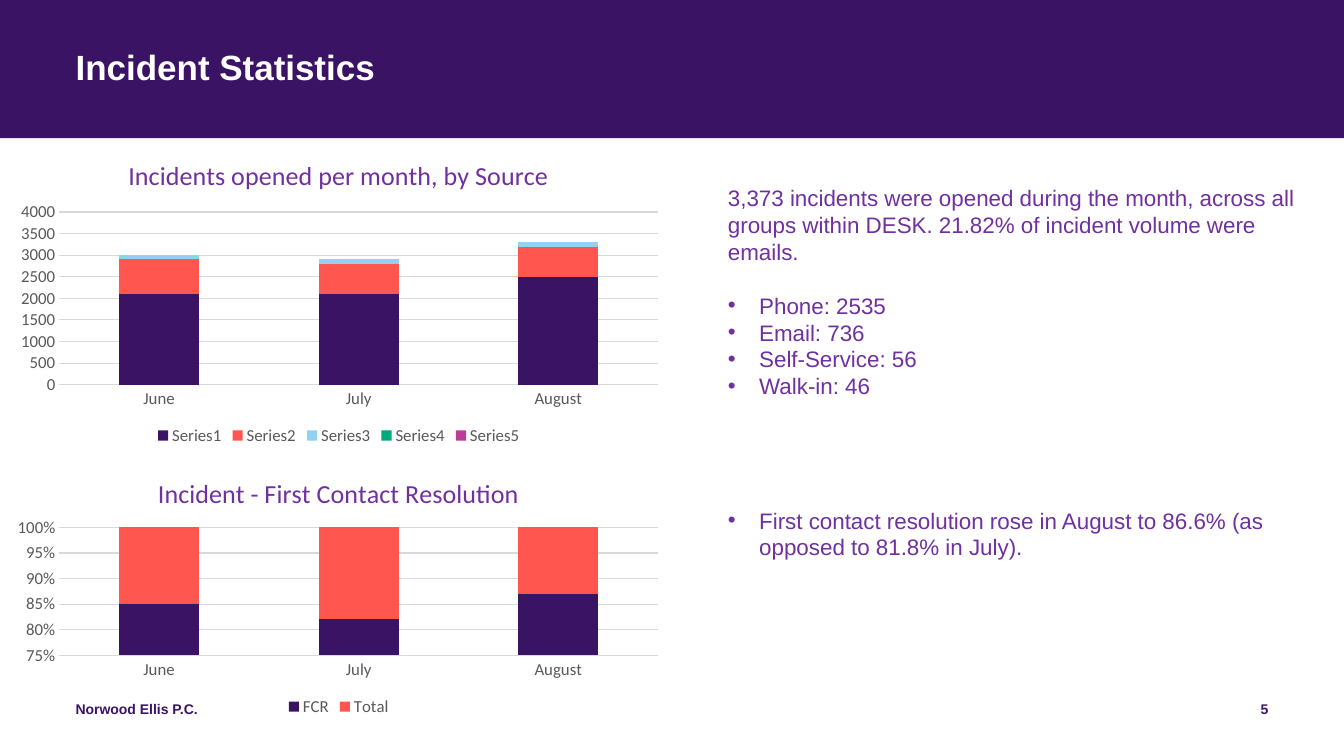
from dataclasses import dataclass

from lxml import etree
from pptx import Presentation
from pptx.chart.data import CategoryChartData
from pptx.dml.color import RGBColor
from pptx.enum import chart as ch, shapes, text
from pptx.oxml import ns
from pptx.util import Inches, Pt


@dataclass(frozen=True)
class Theme:
    deep: RGBColor = RGBColor.from_string("3B1365")
    violet: RGBColor = RGBColor.from_string("7030A0")
    white: RGBColor = RGBColor.from_string("FFFFFF")
    label: RGBColor = RGBColor.from_string("595959")
    grid: RGBColor = RGBColor.from_string("D9D9D9")
    series: tuple = ("3B1365", "FF5750", "91D2F2", "00A87E", "BC3D95")
    font: str = "Arial"
    chart_font: str = "Calibri"
    title_size: int = 25
    body_size: int = 16
    footer_size: int = 10
    chart_title_size: float = 18.6
    label_size: int = 12


THEME = Theme()
HEADLINE = "Incident Statistics"
MONTHS = ("June", "July", "August")
CHARTS = (
    {
        "title": "Incidents opened per month, by Source",
        "kind": ch.XL_CHART_TYPE.COLUMN_STACKED,
        "box": (0.06, 1.4, 6.6, 3.06),
        "plot": (0.08, 0.23, 0.9, 0.56),
        "scale": (0, 4000, 500, "0"),
        "series": {
            "Series1": (2100, 2100, 2500),
            "Series2": (800, 700, 700),
            "Series3": (100, 100, 100),
            "Series4": (0, 0, 0),
            "Series5": (0, 0, 0),
        },
    },
    {
        "title": "Incident - First Contact Resolution",
        "kind": ch.XL_CHART_TYPE.COLUMN_STACKED_100,
        "box": (0.06, 4.56, 6.6, 2.59),
        "plot": (0.08, 0.26, 0.9, 0.49),
        "scale": (0.75, 1, 0.05, "0%"),
        "series": {
            "FCR": (85, 82, 87),
            "Total": (15, 18, 13),
        },
    },
)
FINDINGS = (
    ("3,373 incidents were opened during the month, across all groups within DESK. "
     "21.82% of incident volume were emails.", False, 0),
    ("Phone: 2535", True, 19.5),
    ("Email: 736", True, 0),
    ("Self-Service: 56", True, 0),
    ("Walk-in: 46", True, 0),
    ("First contact resolution rose in August to 86.6% (as opposed to 81.8% in July).",
     True, 77),
)
FOOTERS = (
    ("Norwood Ellis P.C.", (0.75, 6.95, 4.5, 0.4), text.PP_ALIGN.LEFT),
    ("5", (9.58, 6.95, 3, 0.4), text.PP_ALIGN.RIGHT),
)


def inches(box):
    return [Inches(length) for length in box]


def place(shape, box):
    shape.left, shape.top, shape.width, shape.height = inches(box)


def style(font, size, color, bold=False, name=THEME.font):
    font.name, font.size, font.bold = name, Pt(size), bold
    font.color.rgb = color


def open_frame(shape, margins=(0, 0, 0, 0)):
    frame = shape.text_frame
    frame.word_wrap = True
    frame.auto_size = text.MSO_AUTO_SIZE.NONE
    frame.vertical_anchor = text.MSO_ANCHOR.TOP
    (frame.margin_left, frame.margin_top,
     frame.margin_right, frame.margin_bottom) = inches(margins)
    return frame


def set_bullet(paragraph, bulleted):
    properties = paragraph._p.get_or_add_pPr()
    hang = Inches(0.31) if bulleted else 0
    properties.set("marL", str(hang))
    properties.set("indent", str(-hang))
    if bulleted:
        etree.SubElement(properties, ns.qn("a:buFont")).set("typeface", THEME.font)
        etree.SubElement(properties, ns.qn("a:buChar")).set("char", "•")
    else:
        etree.SubElement(properties, ns.qn("a:buNone"))


def set_plot_area(chart, fractions):
    area = chart._chartSpace.find(".//" + ns.qn("c:plotArea"))
    for previous in area.findall(ns.qn("c:layout")):
        area.remove(previous)
    layout = etree.Element(ns.qn("c:layout"))
    manual = etree.SubElement(layout, ns.qn("c:manualLayout"))
    settings = [("layoutTarget", "inner"), ("xMode", "edge"), ("yMode", "edge")]
    for tag, value in settings + list(zip("xywh", fractions)):
        etree.SubElement(manual, ns.qn("c:" + tag)).set("val", str(value))
    area.insert(0, layout)


def style_axis(axis):
    axis.major_tick_mark = axis.minor_tick_mark = ch.XL_TICK_MARK.NONE
    style(axis.tick_labels.font, THEME.label_size, THEME.label, name=THEME.chart_font)


def add_incident_chart(slide, content):
    data = CategoryChartData()
    data.categories = MONTHS
    for name, values in content["series"].items():
        data.add_series(name, values)
    chart = slide.shapes.add_chart(content["kind"], *inches(content["box"]), data).chart
    style(chart.font, THEME.label_size, THEME.label, name=THEME.chart_font)

    chart.has_title = True
    heading = chart.chart_title.text_frame
    heading.text = content["title"]
    style(heading.paragraphs[0].runs[0].font, THEME.chart_title_size, THEME.violet,
          name=THEME.chart_font)
    chart.chart_title.include_in_layout = False

    chart.has_legend = True
    chart.legend.position = ch.XL_LEGEND_POSITION.BOTTOM
    chart.legend.include_in_layout = False
    style(chart.legend.font, THEME.label_size, THEME.label, name=THEME.chart_font)

    months, scale = chart.category_axis, chart.value_axis
    style_axis(months)
    style_axis(scale)
    scale.minimum_scale, scale.maximum_scale, scale.major_unit, pattern = content["scale"]
    scale.tick_labels.number_format = pattern
    scale.tick_labels.number_format_is_linked = False
    scale.format.line.fill.background()
    scale.has_major_gridlines = True
    for line in (months.format.line, scale.major_gridlines.format.line):
        line.color.rgb, line.width = THEME.grid, Pt(0.75)

    columns = chart.plots[0]
    columns.gap_width, columns.overlap, columns.vary_by_categories = 150, 100, False
    for series, color in zip(columns.series, THEME.series):
        series.format.fill.solid()
        series.format.fill.fore_color.rgb = RGBColor.from_string(color)
        series.invert_if_negative = False
    set_plot_area(chart, content["plot"])


def main():
    deck = Presentation()
    deck.slide_width, deck.slide_height = Inches(13.33), Inches(7.5)
    slide = deck.slides.add_slide(deck.slide_layouts[1])
    headline, findings = slide.shapes.title, slide.placeholders[1]

    band = slide.shapes.add_shape(shapes.MSO_SHAPE.RECTANGLE, *inches((0, 0, 13.33, 1.37)))
    band.shadow.inherit = False
    band.fill.solid()
    band.fill.fore_color.rgb = THEME.deep
    band.line.fill.background()
    headline._element.addprevious(band._element)

    place(headline, (0.75, 0.5, 11.83, 0.81))
    frame = open_frame(headline)
    frame.text = HEADLINE
    paragraph = frame.paragraphs[0]
    paragraph.alignment, paragraph.line_spacing = text.PP_ALIGN.LEFT, 0.9
    style(paragraph.runs[0].font, THEME.title_size, THEME.white, True)

    for content in CHARTS:
        add_incident_chart(slide, content)

    place(findings, (7.12, 1.78, 6.15, 4.95))
    frame = open_frame(findings, (0.1, 0.05, 0.1, 0.05))
    frame.text = "\n".join(finding for finding, _, _ in FINDINGS)
    for paragraph, (_, bulleted, gap) in zip(frame.paragraphs, FINDINGS):
        set_bullet(paragraph, bulleted)
        paragraph.line_spacing, paragraph.space_before = Pt(19.1), Pt(gap)
        style(paragraph.runs[0].font, THEME.body_size, THEME.violet)

    for words, box, alignment in FOOTERS:
        frame = open_frame(slide.shapes.add_textbox(*inches(box)))
        frame.text = words
        paragraph = frame.paragraphs[0]
        paragraph.alignment = alignment
        style(paragraph.runs[0].font, THEME.footer_size, THEME.deep, True)

    deck.save("out.pptx")


if __name__ == "__main__":
    main()
